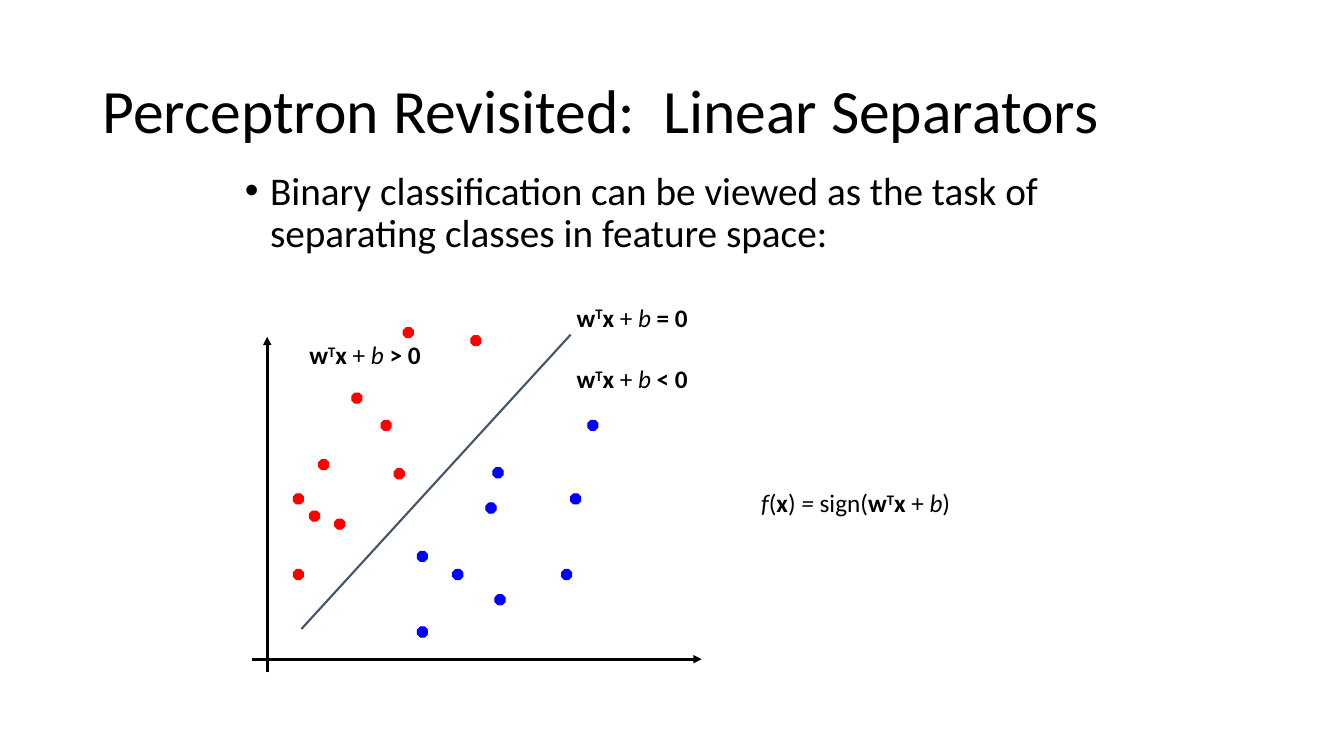
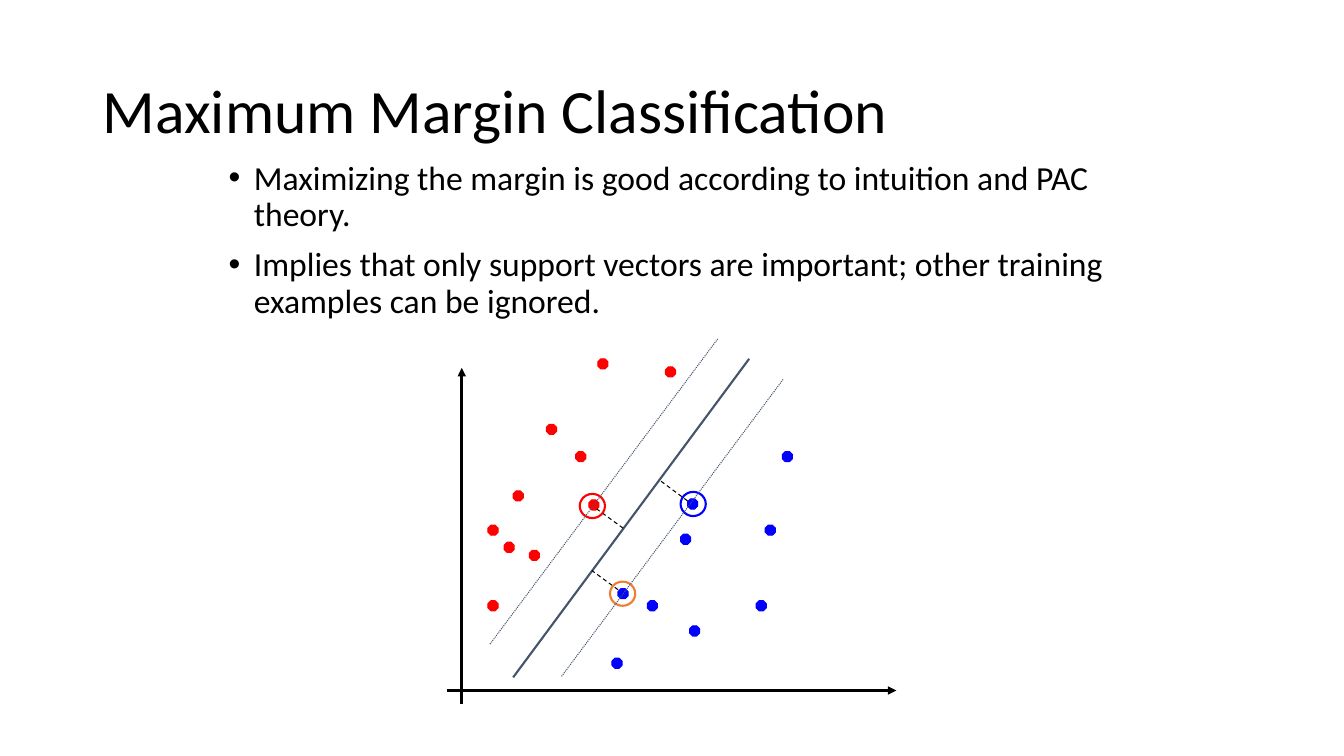
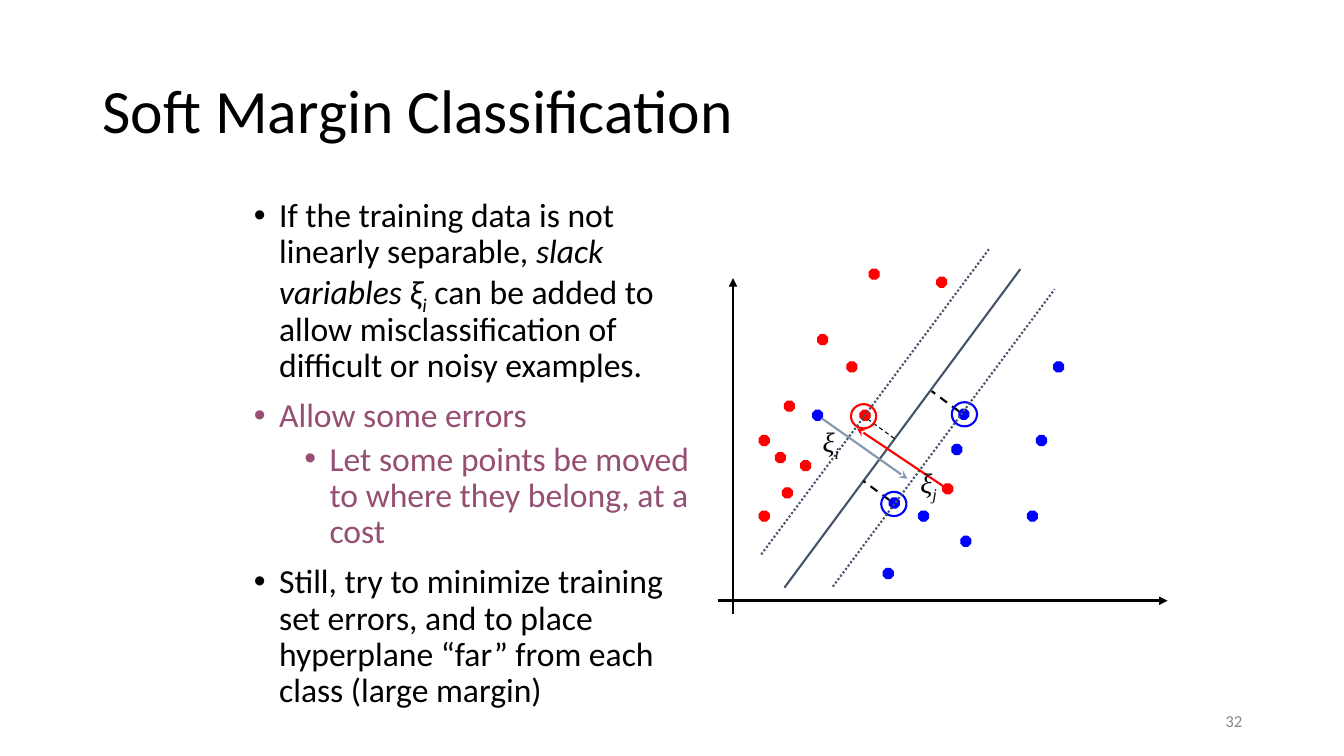
import pptx
import pptx.dml.color
import pptx.enum.dml
import pptx.enum.shapes
import pptx.enum.text
import pptx.oxml.ns
import pptx.util
from lxml import etree

RGBColor = pptx.dml.color.RGBColor
SHAPE = pptx.enum.shapes.MSO_SHAPE
ALIGN = pptx.enum.text.PP_ALIGN
ANCHOR = pptx.enum.text.MSO_ANCHOR
DASH = pptx.enum.dml.MSO_LINE.DASH
DOTTED = pptx.enum.dml.MSO_LINE.ROUND_DOT
qn = pptx.oxml.ns.qn

PX = 9144  # EMU in one px, 100 px to the inch
BLACK = RGBColor(0x00, 0x00, 0x00)
RED = RGBColor(0xFF, 0x00, 0x00)
BLUE = RGBColor(0x00, 0x00, 0xFF)
ORANGE = RGBColor(0xED, 0x7D, 0x31)
SLATE = RGBColor(0x44, 0x54, 0x6A)
PALE_SLATE = RGBColor(0x84, 0x97, 0xB0)
PLUM = RGBColor(0x95, 0x4F, 0x72)
GRAY = RGBColor(0x89, 0x89, 0x89)

TITLE_BOX = (92, 40, 1150, 145)
NUMBER_BOX = (942, 695, 300, 40)
DOT_SIZE = 10
RING_SIZE = (25, 24)

# Places inside a plot, measured from the left end of its x axis
# and the tip of its y axis.
RED_DOTS = [(128, 83), (66, 122), (82, 181), (41, 231), (99, 56),
            (41, 156), (57, 173), (141, 131), (150, -9), (217, -1)]
BLUE_DOTS = [(239, 130), (199, 231), (307, 231), (164, 288), (232, 165),
             (241, 256), (316, 156), (333, 83)]
MARGIN_EDGES = [((114, 306), (334, 11)), ((43, 274), (269, -29))]
SUPPORT_GAPS = [((239, 132), (212, 112)), ((170, 220), (144, 201)),
                ((175, 159), (149, 140))]
SUPPORT_RINGS = [(132, 125), (162, 212), (232, 123)]

WTX_PLUS_B = [("w", {"bold": True}), ("T", {"bold": True, "base": 30}),
              ("x ", {"bold": True}), ("+ ", {}), ("b", {"italic": True})]


def emu(*lengths):
    return [round(length * PX) for length in lengths]


def shift(origin, point):
    return origin[0] + point[0], origin[1] + point[1]


def add_span(para, text, size=18, font="Calibri", color=BLACK,
             bold=False, italic=False, base=0):
    """Add a run; base is the rise above the baseline in percent."""
    span = para.add_run()
    span.text = text
    span.font.size = pptx.util.Pt(size)
    span.font.name = font
    span.font.color.rgb = color
    span.font.bold = bold
    span.font.italic = italic
    if base:
        span._r.get_or_add_rPr().set("baseline", str(base * 1000))


def add_spans(para, spans, **common):
    for text, style in spans:
        add_span(para, text, **{**common, **style})


def add_frame(page, box, anchor=ANCHOR.TOP):
    frame = page.shapes.add_textbox(*emu(*box)).text_frame
    frame.word_wrap = True
    frame.vertical_anchor = anchor
    return frame


def add_label(page, corner, extent, spans, **common):
    frame = add_frame(page, (*corner, *extent))
    add_spans(frame.paragraphs[0], spans, **common)


def add_title(page, text):
    para = add_frame(page, TITLE_BOX, ANCHOR.MIDDLE).paragraphs[0]
    para.line_spacing = 0.9
    add_span(para, text, size=44)


def add_page_number(page, number):
    para = add_frame(page, NUMBER_BOX, ANCHOR.MIDDLE).paragraphs[0]
    para.alignment = ALIGN.RIGHT
    add_span(para, number, size=12, color=GRAY)


def add_bullets(page, box, items, size):
    """Fill a box with bullets, each given as (level, spans)."""
    frame = add_frame(page, box)
    for index, (level, spans) in enumerate(items):
        para = frame.add_paragraph() if index else frame.paragraphs[0]
        para.level = level
        para.line_spacing = 0.9
        para.space_before = pptx.util.Pt(5 if level else 10)
        props = para._p.get_or_add_pPr()
        props.set("marL", str((25 + 50 * level) * PX))
        props.set("indent", str(-25 * PX))
        etree.SubElement(props, qn("a:buFont"), typeface="Arial")
        etree.SubElement(props, qn("a:buChar"), char="•")
        add_spans(para, spans, size=size)


def add_line(page, origin, ends, color, width, dash=None, arrow=None):
    start, end = (shift(origin, point) for point in ends)
    line = page.shapes.add_connector(
        pptx.enum.shapes.MSO_CONNECTOR.STRAIGHT, *emu(*start, *end))
    line.line.color.rgb = color
    line.line.width = pptx.util.Pt(width)
    if dash:
        line.line.dash_style = dash
    if arrow:
        etree.SubElement(line.get_or_add_ln(), qn("a:tailEnd"), type=arrow)
    etree.SubElement(line._element.spPr, qn("a:effectLst"))


def add_mark(page, kind, corner, extent, color, width, filled):
    mark = page.shapes.add_shape(kind, *emu(*corner, *extent))
    mark.shadow.inherit = False
    if filled:
        mark.fill.solid()
        mark.fill.fore_color.rgb = color
    else:
        mark.fill.background()
    mark.line.color.rgb = color
    mark.line.width = pptx.util.Pt(width)


def add_scatter(page, origin, extra_red=(), extra_blue=()):
    """Draw the axes and the dots of both classes."""
    for ends in [((15, 333), (15, 0)), ((0, 320), (446, 320))]:
        add_line(page, origin, ends, BLACK, 2, arrow="triangle")
    for color, places in [(RED, [*RED_DOTS, *extra_red]),
                          (BLUE, [*BLUE_DOTS, *extra_blue])]:
        for place in places:
            add_mark(page, SHAPE.OCTAGON, shift(origin, place),
                     (DOT_SIZE, DOT_SIZE), color, 0.75, filled=True)


def add_margin(page, origin, ring_colors, gap_widths, edge_width):
    """Draw the separator, its margin and the ringed support vectors."""
    add_line(page, origin, ((66, 307), (300, -9)), SLATE, 1.5)
    for ends, width in zip(SUPPORT_GAPS, gap_widths):
        add_line(page, origin, ends, BLACK, width, dash=DASH)
    for place, color in zip(SUPPORT_RINGS, ring_colors):
        add_mark(page, SHAPE.OVAL, shift(origin, place), RING_SIZE,
                 color, 1.5, filled=False)
    for ends in MARGIN_EDGES:
        add_line(page, origin, ends, SLATE, edge_width, dash=DOTTED)


def build_separators(page):
    add_title(page, "Perceptron Revisited:  Linear Separators")
    add_bullets(page, (233, 165, 900, 550), [
        (0, [("Binary classification can be viewed as the task of "
              "separating classes in feature space:", {})]),
    ], size=28)
    origin = (250, 334)
    add_scatter(page, origin, extra_blue=[(164, 213)])
    add_line(page, origin, ((49, 290), (316, -2)), SLATE, 1.5)
    for place, relation in [((312, -39), " = 0"), ((312, 22), " < 0"),
                            ((47, -2), " > 0")]:
        add_label(page, shift(origin, place), (292, 40),
                  [*WTX_PLUS_B, (relation, {"bold": True})])
    add_label(page, shift(origin, (495, 145)), (321, 40), [
        ("f", {"italic": True}), ("(", {}), ("x", {"bold": True}), (")", {}),
        (" = ", {"italic": True}), ("sign(", {}), *WTX_PLUS_B, (")", {})])


def build_maximum_margin(page):
    add_title(page, "Maximum Margin Classification")
    add_bullets(page, (217, 155, 900, 550), [
        (0, [("Maximizing the margin is good according to intuition and "
              "PAC theory.", {})]),
        (0, [("Implies that only support vectors are important; other "
              "training examples can be ignored.", {})]),
    ], size=24)
    origin = (443, 365)
    add_scatter(page, origin, extra_blue=[(170, 219)])
    add_margin(page, origin, (RED, ORANGE, BLUE), (0.75, 0.75, 0.75), 0.75)


def build_soft_margin(page):
    add_page_number(page, "32")
    add_title(page, "Soft Margin Classification")
    add_bullets(page, (242, 192, 458, 533), [
        (0, [("If the training data is not linearly separable, ", {}),
             ("slack variables ξ", {"italic": True}),
             ("i", {"italic": True, "base": -25}),
             (" can be added to allow misclassification of difficult or "
              "noisy examples.", {})]),
        (0, [("Allow some errors", {"color": PLUM})]),
        (1, [("Let some points be moved to where they belong, at a cost",
              {"color": PLUM})]),
        (0, [("Still, try to minimize training set errors, and to place "
              "hyperplane “far” from each class (large margin)", {})]),
    ], size=24)
    origin = (712, 276)
    add_scatter(page, origin, extra_red=[(64, 208), (223, 204)],
                extra_blue=[(170, 218), (94, 131)])
    add_margin(page, origin, (RED, BLUE, BLUE), (1.5, 1.5, 0.75), 1.5)
    for ends, color in [(((223, 206), (138, 149)), RED),
                        (((103, 139), (188, 199)), PALE_SLATE)]:
        add_line(page, origin, ends, color, 1.5, arrow="stealth")
    for place, index in [((191, 181), "j"), ((94, 140), "i")]:
        add_label(page, shift(origin, place), (77, 43),
                  [("ξ", {}), (index, {"base": -25})],
                  size=20, font="Times New Roman", italic=True)


def main():
    deck = pptx.Presentation()
    deck.slide_width, deck.slide_height = emu(1333, 750)
    for build in (build_separators, build_maximum_margin, build_soft_margin):
        build(deck.slides.add_slide(deck.slide_layouts[6]))
    deck.save("out.pptx")


if __name__ == "__main__":
    main()
